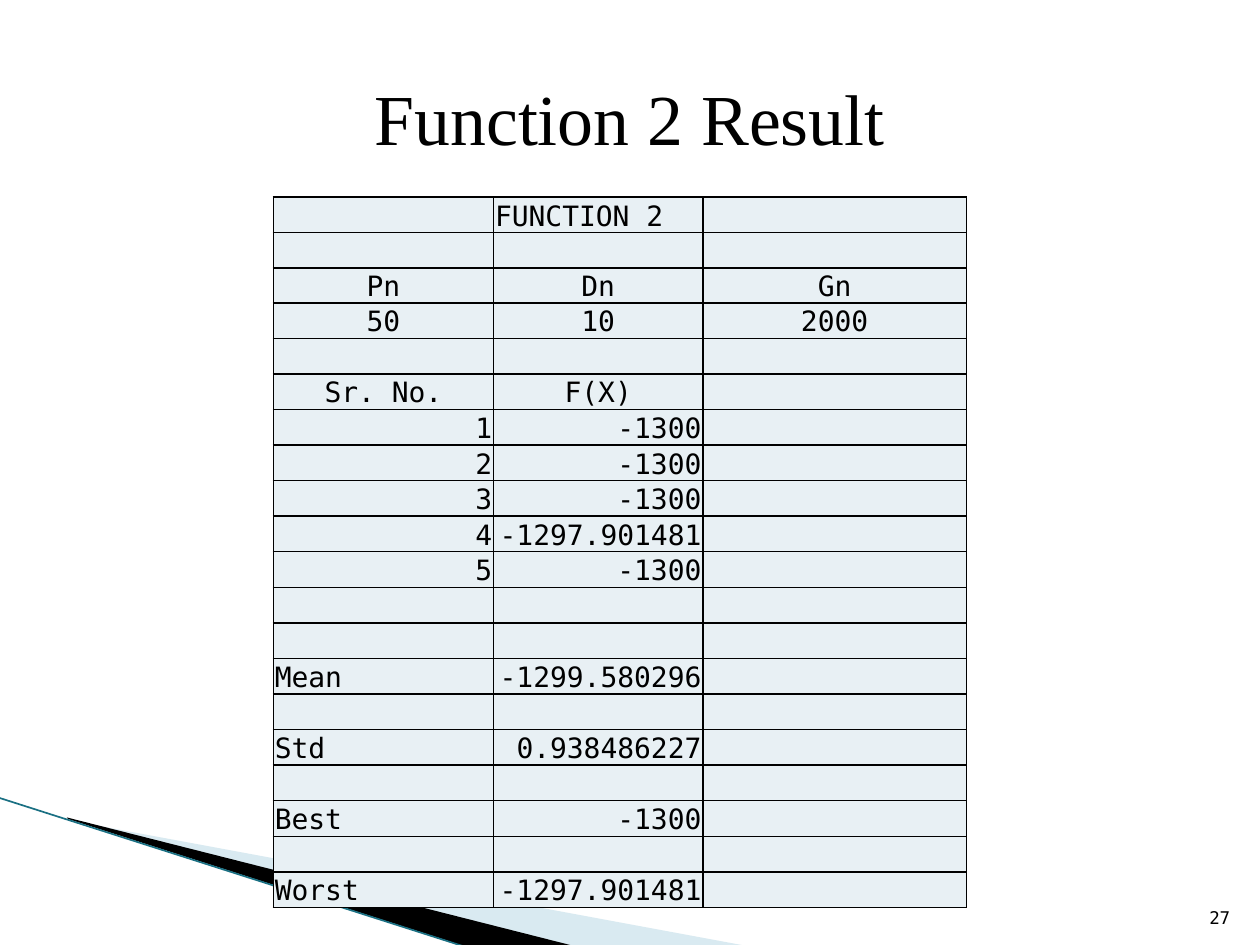
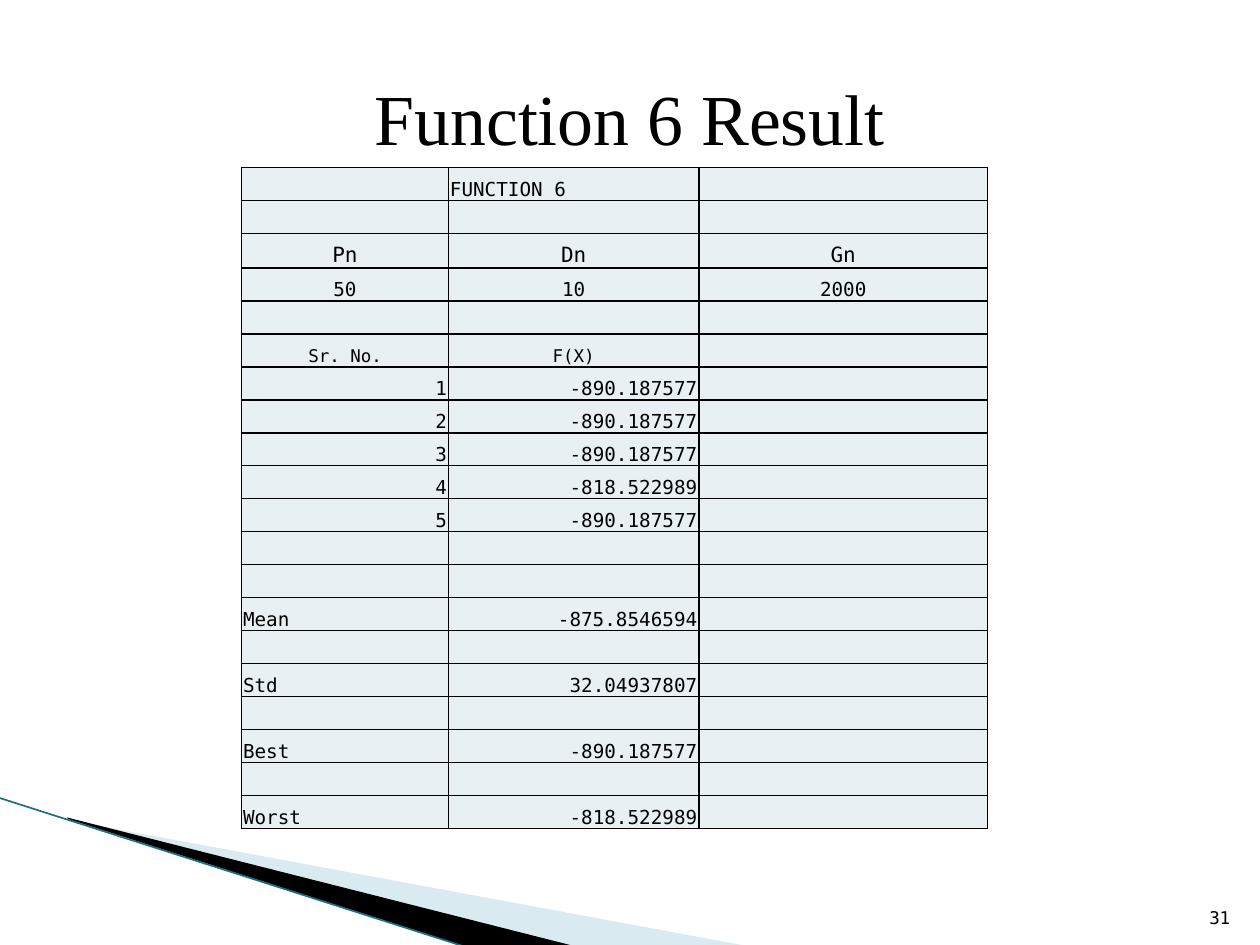
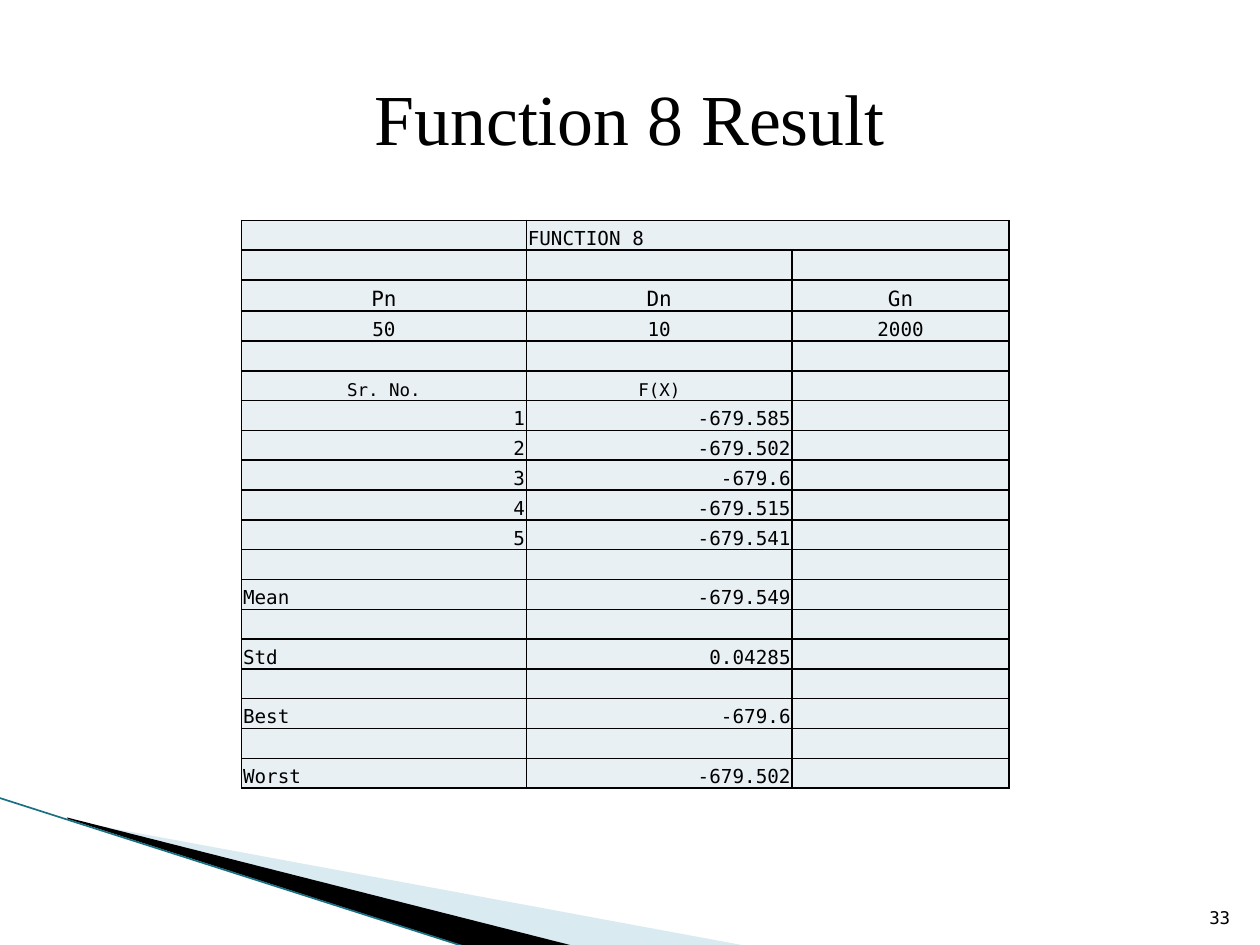
from lxml.etree import SubElement
from pptx import Presentation
from pptx.dml.color import RGBColor
from pptx.enum.shapes import MSO_CONNECTOR
from pptx.enum.text import MSO_ANCHOR as Anchor, PP_ALIGN as Align
from pptx.oxml.ns import qn
from pptx.util import Cm, Pt

COLORS = {
    "text": "000000",
    "cell": "E8F0F4",
    "border": "000000",
    "pale band": "A0CBDC",
    "dark band": "000000",
    "edge": "1A7083",
}
TITLE_FONT = "Times New Roman"
BODY_FONT = "DejaVu Sans Mono"
BLANK = ["", "", ""]

# Band outlines in hundredths of a centimetre
BANDS = {
    "pale band": [(140, 1654), (1511, 1908), (1158, 1908), (140, 1651)],
    "dark band": [(135, 1648), (1161, 1908), (945, 1910), (137, 1651)],
}

# Sizes: body, parameter names, run header; heights holds the rows that differ
RESULTS = [
    {
        "function": 2, "page": 27, "left": 5.51, "top": 3.97, "height": 14.27,
        "columns": [4.44, 4.22, 5.31], "heights": {2: 0.68, 3: 0.68},
        "sizes": (16, 16, 16), "gap": 2, "wide heading": False,
        "runs": ["-1300", "-1300", "-1300", "-1297.901481", "-1300"],
        "summary": ["-1299.580296", "0.938486227", "-1300", "-1297.901481"],
    },
    {
        "function": 6, "page": 31, "left": 4.87, "top": 3.38, "height": 13.34,
        "columns": [4.17, 5.05, 5.82], "heights": {2: 0.69},
        "sizes": (11, 12, 10), "gap": 2, "wide heading": False,
        "runs": ["-890.187577", "-890.187577", "-890.187577", "-818.522989", "-890.187577"],
        "summary": ["-875.8546594", "32.04937807", "-890.187577", "-818.522989"],
    },
    {
        "function": 8, "page": 33, "left": 4.87, "top": 4.44, "height": 11.46,
        "columns": [5.74, 5.36, 4.37], "heights": {2: 0.63},
        "sizes": (11, 12, 10), "gap": 1, "wide heading": True,
        "runs": ["-679.585", "-679.502", "-679.6", "-679.515", "-679.541"],
        "summary": ["-679.549", "0.04285", "-679.6", "-679.502"],
    },
]


def write(text_frame, text, font_name, size, alignment, anchor):
    text_frame.text = text
    text_frame.word_wrap = True
    text_frame.vertical_anchor = anchor
    paragraph = text_frame.paragraphs[0]
    paragraph.alignment = alignment
    for run in paragraph.runs:
        run.font.name = font_name
        run.font.size = Pt(size)
        run.font.color.rgb = RGBColor.from_string(COLORS["text"])


def style_cell(cell):
    cell.margin_left = cell.margin_right = cell.margin_top = Cm(0.03)
    cell.margin_bottom = 0
    cell.vertical_anchor = Anchor.BOTTOM
    properties = cell._tc.get_or_add_tcPr()
    for side in ("a:lnL", "a:lnR", "a:lnT", "a:lnB"):
        line = SubElement(properties, qn(side), w=str(Pt(1)))
        fill = SubElement(line, qn("a:solidFill"))
        SubElement(fill, qn("a:srgbClr"), val=COLORS["border"])
    cell.fill.solid()
    cell.fill.fore_color.rgb = RGBColor.from_string(COLORS["cell"])


presentation = Presentation()
presentation.slide_width = Cm(25.4)
presentation.slide_height = Cm(19.05)
layout = presentation.slide_layouts[5]
slides = [presentation.slides.add_slide(layout) for _ in RESULTS]

# Corner bands, drawn once and moved to the shared layout
drawing = slides[0].shapes
decorations = []
for name, points in BANDS.items():
    builder = drawing.build_freeform(*points[0], scale=Cm(0.01))
    builder.add_line_segments(points[1:], close=True)
    band = builder.convert_to_shape()
    band.shadow.inherit = False
    band.fill.solid()
    band.fill.fore_color.rgb = RGBColor.from_string(COLORS[name])
    band.line.fill.background()
    if name == "pale band":
        color = band._element.spPr.find(".//" + qn("a:srgbClr"))
        SubElement(color, qn("a:alpha"), val="40000")
    decorations.append(band)

edge = drawing.add_connector(MSO_CONNECTOR.STRAIGHT, Cm(-0.03), Cm(16.08), Cm(9.42), Cm(19.1))
edge.line.color.rgb = RGBColor.from_string(COLORS["edge"])
edge.line.width = Pt(0.95)
SubElement(edge._element.spPr, qn("a:effectLst"))
decorations.append(edge)

for decoration in decorations:
    layout.shapes._spTree.append(decoration._element)

for slide, result in zip(slides, RESULTS):
    # Page number
    number = slide.shapes.add_textbox(Cm(24.03), Cm(17.81), Cm(1.02), Cm(1.02))
    write(number.text_frame, str(result["page"]), BODY_FONT, 10, Align.RIGHT, Anchor.BOTTOM)

    # Title
    title = slide.shapes.title
    title.left, title.top, title.width, title.height = Cm(1.27), Cm(0.76), Cm(22.86), Cm(3.18)
    write(title.text_frame, f"Function {result['function']} Result", TITLE_FONT, 41,
          Align.CENTER, Anchor.MIDDLE)

    # Table contents
    rows = [
        ["", f"FUNCTION {result['function']}", ""],
        BLANK,
        ["Pn", "Dn", "Gn"],
        ["50", "10", "2000"],
        BLANK,
        ["Sr. No.", "F(X)", ""],
    ]
    rows += [[str(index), value, ""] for index, value in enumerate(result["runs"], 1)]
    rows += [BLANK] * (result["gap"] - 1)
    for label, value in zip(["Mean", "Std", "Best", "Worst"], result["summary"]):
        rows += [BLANK, [label, value, ""]]

    # Table grid
    columns, heights = result["columns"], result["heights"]
    frame = slide.shapes.add_table(len(rows), len(columns), Cm(result["left"]), Cm(result["top"]),
                                   Cm(sum(columns)), Cm(result["height"]))
    table = frame.table
    table.first_row = table.horz_banding = False
    for column, width in zip(table.columns, columns):
        column.width = Cm(width)
    row_height = (result["height"] - sum(heights.values())) / (len(rows) - len(heights))
    for row_index, row in enumerate(table.rows):
        row.height = Cm(heights.get(row_index, row_height))
    if result["wide heading"]:
        table.cell(0, 1).merge(table.cell(0, 2))

    # Table cells
    body_size, parameter_size, header_size = result["sizes"]
    row_sizes = {2: parameter_size, 5: header_size}
    for row_index, values in enumerate(rows):
        size = row_sizes.get(row_index, body_size)
        for column_index, text in enumerate(values):
            cell = table.cell(row_index, column_index)
            style_cell(cell)
            if row_index in (2, 3, 5):
                alignment = Align.CENTER
            elif row_index == 0 or text.isalpha():
                alignment = Align.LEFT
            else:
                alignment = Align.RIGHT
            write(cell.text_frame, text, BODY_FONT, size, alignment, Anchor.BOTTOM)
            if not text:
                paragraph = cell.text_frame.paragraphs[0]
                SubElement(paragraph._p, qn("a:endParaRPr"), sz=str(size * 100))

presentation.save("out.pptx")
